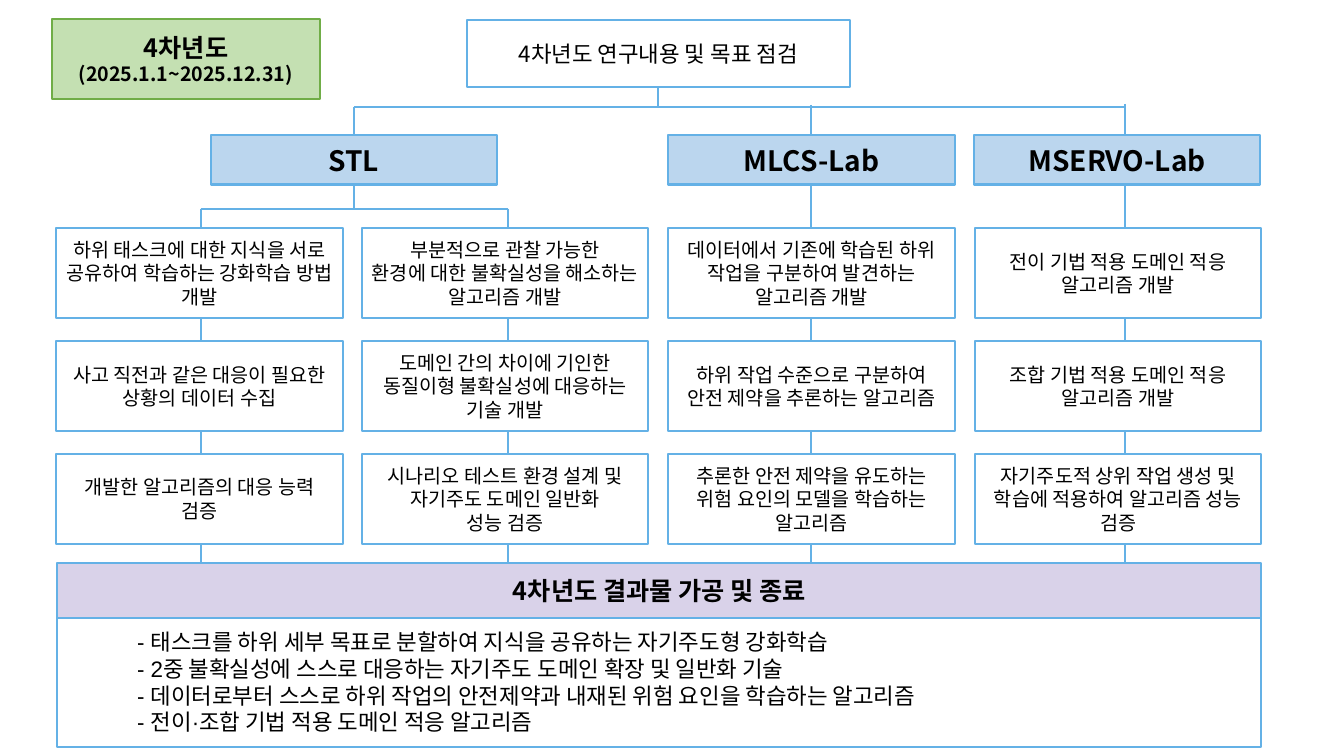
from pptx import Presentation
from pptx.dml.color import RGBColor
from pptx.enum import shapes, text
from pptx.oxml import ns
from pptx.util import Inches, Pt
from lxml import etree

KOREAN, LATIN = "Noto Sans CJK KR", "Arial"
BLACK = RGBColor(0x00, 0x00, 0x00)
WHITE = RGBColor(0xFF, 0xFF, 0xFF)
BLUE_LINE = RGBColor(0x64, 0xB1, 0xE6)
BLUE = RGBColor(0xBB, 0xD6, 0xEE)
PURPLE = RGBColor(0xD9, 0xD2, 0xE9)
GREEN = RGBColor(0xC4, 0xE0, 0xB2)
GREEN_LINE = RGBColor(0x70, 0xAD, 0x47)

YEAR = [("4차년도", 18), ("(2025.1.1~2025.12.31)", 14)]
GOAL = "4차년도 연구내용 및 목표 점검"
LABS = [("STL", 2.09), ("MLCS-Lab", 6.63), ("MSERVO-Lab", 9.66)]
# One entry per column: left edge, stem position, stem start, tasks from top to bottom
TRACKS = [
    (0.56, 1.99, 2.07, [
        ["하위 태스크에 대한 지식을 서로 공유하여 학습하는 강화학습 방법 개발"],
        ["사고 직전과 같은 대응이 필요한 상황의 데이터 수집"],
        ["개발한 알고리즘의 대응 능력 검증"]]),
    (3.59, 5.04, 2.07, [
        ["부분적으로 관찰 가능한", "환경에 대한 불확실성을 해소하는 알고리즘 개발"],
        ["도메인 간의 차이에 기인한 동질이형 불확실성에 대응하는 기술 개발"],
        ["시나리오 테스트 환경 설계 및", "자기주도 도메인 일반화", "성능 검증"]]),
    (6.63, 8.04, 1.04, [
        ["데이터에서 기존에 학습된 하위 작업을 구분하여 발견하는 알고리즘 개발"],
        ["하위 작업 수준으로 구분하여 안전 제약을 추론하는 알고리즘"],
        ["추론한 안전 제약을 유도하는 위험 요인의 모델을 학습하는 알고리즘"]]),
    (9.67, 11.16, 1.03, [
        ["전이 기법 적용 도메인 적응 알고리즘 개발"],
        ["조합 기법 적용 도메인 적응 알고리즘 개발"],
        ["자기주도적 상위 작업 생성 및 학습에 적용하여 알고리즘 성능 검증"]]),
]
RESULT = "4차년도 결과물 가공 및 종료"
OUTCOMES = [
    "- 태스크를 하위 세부 목표로 분할하여 지식을 공유하는 자기주도형 강화학습",
    "- 2중 불확실성에 스스로 대응하는 자기주도 도메인 확장 및 일반화 기술",
    "- 데이터로부터 스스로 하위 작업의 안전제약과 내재된 위험 요인을 학습하는 알고리즘",
    "- 전이·조합 기법 적용 도메인 적응 알고리즘",
]

BOX_W, LAB_TOP, LAB_H = 2.84, 1.34, 0.49
TASK_TOP, TASK_H, TASK_PITCH = 2.26, 0.9, 1.12
LAB_BUS, STL_BUS = 1.06, 2.07
RESULT_LEFT, RESULT_TOP, RESULT_W, RESULT_H = 0.57, 5.59, 11.94, 0.54
OUTCOME_H = 1.28

deck = Presentation()
deck.slide_width, deck.slide_height = Inches(13.33), Inches(7.5)
slide = deck.slides.add_slide(deck.slide_layouts[6])


def add_box(left, top, width, height, lines, fill=WHITE, outline=BLUE_LINE,
            bold=False, font=KOREAN, align=text.PP_ALIGN.CENTER,
            anchor=text.MSO_ANCHOR.MIDDLE, insets=(0.1, 0.05)):
    """Add a rectangle holding one paragraph per (wording, size) in lines."""
    box = slide.shapes.add_shape(shapes.MSO_SHAPE.RECTANGLE, Inches(left),
                                 Inches(top), Inches(width), Inches(height))
    box.shadow.inherit = False
    box.fill.solid()
    box.fill.fore_color.rgb = fill
    box.line.color.rgb = outline
    box.line.width = Pt(1.5)
    frame = box.text_frame
    frame.word_wrap = True
    frame.vertical_anchor = anchor
    frame.margin_left = frame.margin_right = Inches(insets[0])
    frame.margin_top = frame.margin_bottom = Inches(insets[1])
    for i, (wording, size) in enumerate(lines):
        paragraph = frame.add_paragraph() if i else frame.paragraphs[0]
        paragraph.alignment = align
        run = paragraph.add_run()
        run.text = wording
        run.font.size, run.font.bold, run.font.name = Pt(size), bold, font
        run.font.color.rgb = BLACK
        east_asian = etree.SubElement(run.font._element, ns.qn("a:ea"))
        east_asian.set("typeface", KOREAN)
    return box


def add_line(x1, y1, x2, y2):
    line = slide.shapes.add_connector(shapes.MSO_CONNECTOR.STRAIGHT, Inches(x1),
                                      Inches(y1), Inches(x2), Inches(y2))
    line.line.color.rgb = BLUE_LINE
    line.line.width = Pt(1.5)
    etree.SubElement(line._element.spPr, ns.qn("a:effectLst"))
    return line


stems = [stem for _, stem, _, _ in TRACKS]
stl_center = LABS[0][1] + BOX_W / 2

for _, stem, start, _ in TRACKS:
    add_line(stem, start, stem, RESULT_TOP)
add_line(stl_center, LAB_BUS, stems[3], LAB_BUS)
add_line(stems[0], STL_BUS, stems[1], STL_BUS)

add_box(0.52, 0.19, 2.65, 0.79, YEAR, GREEN, GREEN_LINE, bold=True)
goal = add_box(4.63, 0.2, 3.8, 0.66, [(GOAL, 16)])
stl, mlcs, mservo = [
    add_box(left, LAB_TOP, BOX_W, LAB_H, [(lab, 20)], BLUE, bold=True)
    for lab, left in LABS]
for left, _, _, tasks in TRACKS:
    for row, task in enumerate(tasks):
        add_box(left, TASK_TOP + row * TASK_PITCH, BOX_W, TASK_H,
                [(wording, 14) for wording in task])

goal_center = 4.63 + 3.8 / 2
add_line(goal_center, 0.86, goal_center, LAB_BUS).begin_connect(goal, 2)
add_line(stl_center, LAB_BUS, stl_center, LAB_TOP).end_connect(stl, 0)
add_line(stl_center, LAB_TOP + LAB_H, stl_center, STL_BUS).begin_connect(stl, 2)

add_box(RESULT_LEFT, RESULT_TOP, RESULT_W, RESULT_H, [(RESULT, 18)], PURPLE, bold=True)
add_box(RESULT_LEFT, RESULT_TOP + RESULT_H, RESULT_W, OUTCOME_H,
        [(outcome, 16) for outcome in OUTCOMES], font=LATIN,
        align=text.PP_ALIGN.LEFT, anchor=text.MSO_ANCHOR.TOP, insets=(0.79, 0.1))

deck.save("out.pptx")
